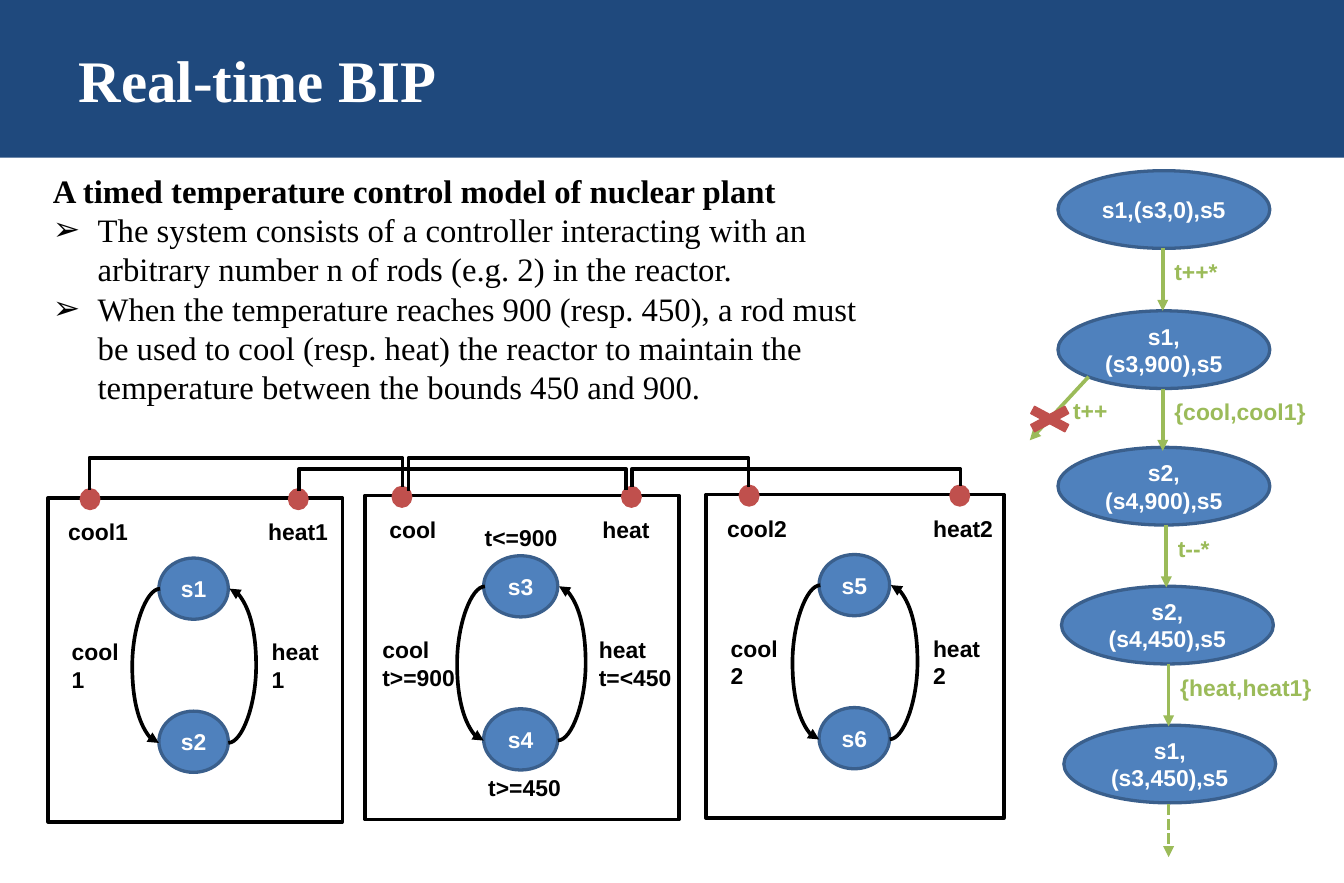
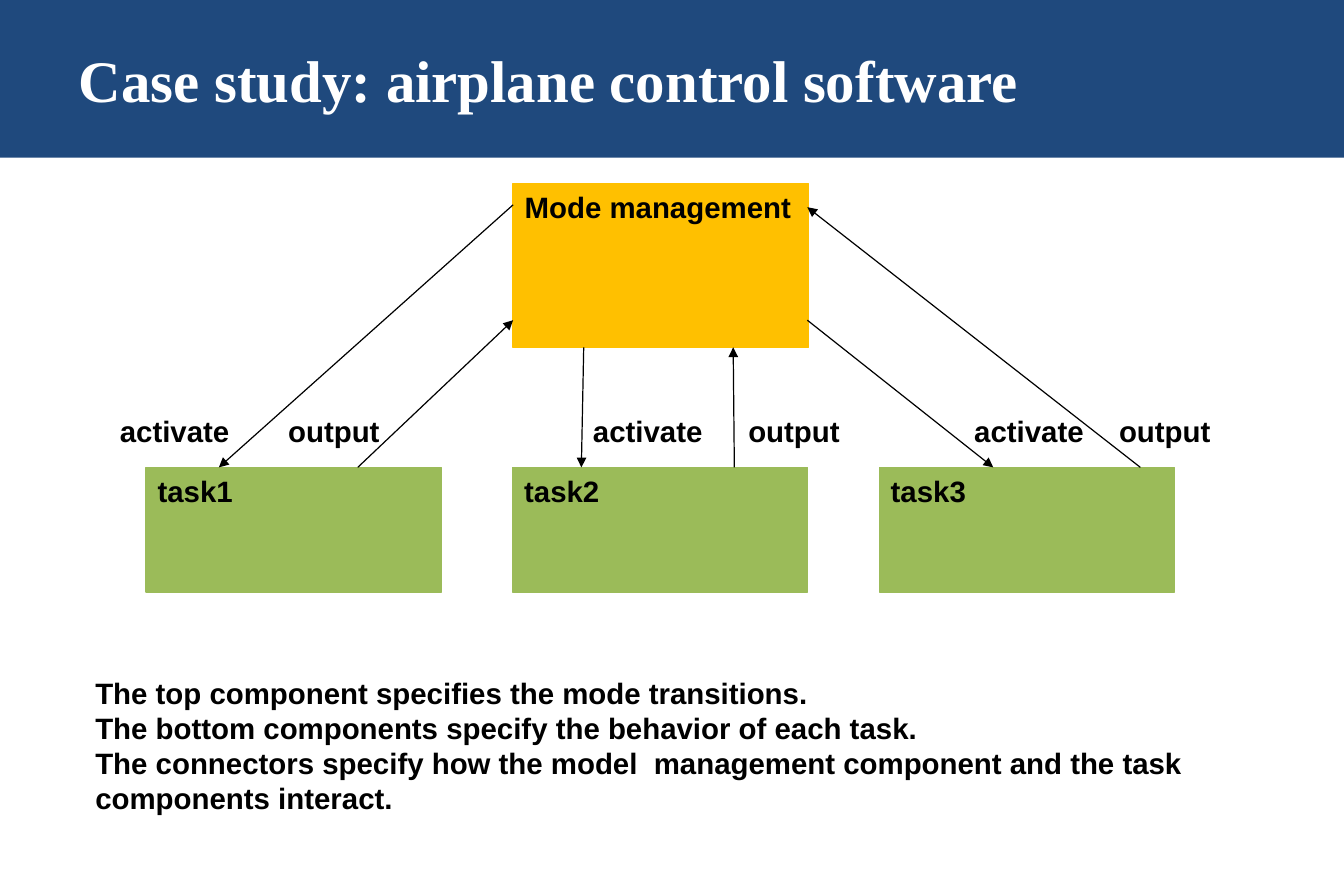
from lxml.etree import SubElement
from pptx import Presentation
from pptx.dml.color import RGBColor
from pptx.enum.dml import MSO_LINE
from pptx.enum.shapes import MSO_CONNECTOR as LINK, MSO_SHAPE as SHAPE
from pptx.enum.text import MSO_ANCHOR, MSO_AUTO_SIZE, PP_ALIGN
from pptx.oxml.ns import qn
from pptx.util import Pt

PX = 9144  # one px is a hundredth of an inch
NAVY, BLUE, EDGE = "1F497D", "4F81BD", "3A5F8C"
GREEN, RED, AMBER = "9BBB59", "C0504D", "FFC000"
BLACK, WHITE = "000000", "FFFFFF"
SERIF, SANS = "Times New Roman", "Arial"
rgb = RGBColor.from_string


def put(s, kind, x, y, w, h, text="", *, fill=None, line=None, weight=2, size=14,
        color=BLACK, font=SANS, bold=True, center=False, middle=False, wrap=True):
    """Place a preset shape, a text box (kind None) or a placeholder, with its text."""
    box = [round(v * PX) for v in (x, y, w, h)]
    if kind is None:
        sp = s.shapes.add_textbox(*box)
    elif hasattr(kind, "text_frame"):
        sp = kind
        sp.left, sp.top, sp.width, sp.height = box
    else:
        sp = s.shapes.add_shape(kind, *box)
        sp.shadow.inherit = False
        if fill:
            sp.fill.solid()
            sp.fill.fore_color.rgb = rgb(fill)
        else:
            sp.fill.background()
        if line:
            sp.line.color.rgb = rgb(line)
            sp.line.width = Pt(weight)
        else:
            sp.line.fill.background()
    if not text:
        return sp
    tf = sp.text_frame
    tf.text = text
    tf.word_wrap = wrap
    tf.auto_size = MSO_AUTO_SIZE.NONE
    tf.vertical_anchor = MSO_ANCHOR.MIDDLE if middle else MSO_ANCHOR.TOP
    for p in tf.paragraphs:
        p.alignment = PP_ALIGN.CENTER if center else PP_ALIGN.LEFT
        p.space_before = Pt(0)
        for r in p.runs:
            r.font.name, r.font.size, r.font.bold = font, Pt(size), bold
            r.font.color.rgb = rgb(color)
    return sp


def link(s, x1, y1, x2, y2, *, kind=LINK.STRAIGHT, color=BLACK, weight=2.25,
         arrow=True, dash=None, rot=0, flips=(), bend=None):
    """Draw a connector; bend is the elbow's distance in widths of its box."""
    c = s.shapes.add_connector(kind, *[round(v * PX) for v in (x1, y1, x2, y2)])
    c.line.color.rgb = rgb(color)
    c.line.width = Pt(weight)
    if dash:
        c.line.dash_style = dash
    spPr = c.element.spPr
    if arrow:
        SubElement(spPr.find(qn("a:ln")), qn("a:tailEnd"), type="triangle")
    SubElement(spPr, qn("a:effectLst"))
    xfrm = spPr.find(qn("a:xfrm"))
    if rot:
        xfrm.set("rot", str(rot * 60000))
    for flip in flips:
        xfrm.set("flip" + flip, "1")
    if bend is not None:
        av = spPr.find(qn("a:prstGeom")).find(qn("a:avLst"))
        SubElement(av, qn("a:gd"), name="adj1", fmla=f"val {round(bend * 100000)}")


prs = Presentation()
prs.slide_width, prs.slide_height = 1142 * PX, 750 * PX

# Shared band, title and body
TITLES = ["Real-time BIP", "Case study: airplane control software"]
BODIES = [
    ("A timed temperature control model of nuclear plant\n"
     "The system consists of a controller interacting with an arbitrary number n "
     "of rods (e.g. 2) in the reactor.\n"
     "When the temperature reaches 900 (resp. 450), a rod must be used to cool "
     "(resp. heat) the reactor to maintain the temperature between the bounds "
     "450 and 900.", (35, 140, 723, 212), SERIF, 20),
    ("The top component specifies the mode transitions.\n"
     "The bottom components specify the behavior of each task.\n"
     "The connectors specify how the model  management component and the task "
     "components interact.", (71, 568, 1013, 131), SANS, 18),
]
for title, (body, box, font, size) in zip(TITLES, BODIES):
    s = prs.slides.add_slide(prs.slide_layouts[1])
    put(s, s.shapes.title, 57, 5, 1028, 125, title, size=36, color=WHITE,
        font=SERIF, middle=True)
    sp = put(s, s.placeholders[1], *box, body, size=size, font=font)
    for i, p in enumerate(sp.text_frame.paragraphs):
        bullet = font == SERIF and i > 0
        pPr = p._p.get_or_add_pPr()
        pPr.set("marL", str(38 * PX if bullet else 0))
        pPr.set("indent", str(-38 * PX if bullet else 0))
        if bullet:
            SubElement(pPr, qn("a:buChar"), char="➢")
            p.runs[0].font.bold = False
        else:
            SubElement(pPr, qn("a:buNone"))

plant, study = prs.slides
band = put(plant, SHAPE.RECTANGLE, 0, 0, 1142, 134, fill=NAVY)
band.element.nvSpPr.cNvPr.set("id", "99")
prs.slide_master.shapes.element.insert(2, band.element)

# Slide 1: three components with two states, two transitions and two ports each
s = plant
STATE = dict(fill=BLUE, line=EDGE, color=WHITE, center=True, middle=True)
COMPONENTS = [
    # frame x, y, w; state x, w; states; port x; port names, x, w; transitions, x, w
    (41, 423, 250, 135, 59, ("s1", "s2"), (69, 246),
     ("cool1", "heat1"), (48, 218), 71, ("cool1", "heat1"), (51, 221), 65),
    (310, 421, 267, 411, 63, ("s3", "s4"), (334, 529),
     ("cool", "heat"), (321, 502), 60, ("cool\nt>=900", "heat\nt=<450"), (315, 499), 82),
    (600, 420, 253, 696, 60, ("s5", "s6"), (629, 808),
     ("cool2", "heat2"), (608, 783), 71, ("cool2", "heat2"), (611, 783), 66),
]
for (x, y, w, sx, sw, states, port_xs, ports, name_xs, name_w,
     moves, move_xs, move_w) in COMPONENTS:
    put(s, SHAPE.RECTANGLE, x, y, w, 275, line=BLACK, weight=2.25)
    for state, dy in zip(states, (51, 181)):
        put(s, SHAPE.OVAL, sx, y + dy, sw, 52, state, **STATE)
    for cx, rot in ((sx, 180), (sx + sw, 0)):
        link(s, cx, y + 77, cx + 1, y + 208, kind=LINK.CURVE, rot=rot,
             flips="V", bend=24)
    for port_x, name, name_x, move, move_x in zip(port_xs, ports, name_xs, moves, move_xs):
        put(s, SHAPE.OVAL, port_x, y - 7, 15, 16, fill=RED, line=RED)
        put(s, None, name_x, y + 12, name_w, 34, name, wrap=False)
        put(s, None, move_x, y + 114, move_w, 57, move, wrap="\n" not in move)
for x, y, guard in ((402, 440, "t<=900"), (405, 652, "t>=450")):
    put(s, None, x, y, 82, 34, guard, wrap=False)

# Wires leave a port upwards, so each box is turned by a quarter
for x1, y1, x2, y2, peak in ((76, 416, 342, 414, 389), (347, 417, 636, 414, 389),
                             (254, 417, 532, 416, 398), (537, 414, 816, 413, 398)):
    w, h = y1 - y2, x2 - x1
    left, top = (x1 + x2 - w) / 2, (y1 + y2 - h) / 2
    link(s, left, top, left + w, top + h, kind=LINK.ELBOW, arrow=False,
         rot=90, flips="HV", bend=(y1 - peak) / w)

# Slide 1: the run on the right
RUN = [(899, 145, "s1,(s3,0),s5", "t++*", 57),
       (899, 264, "s1,(s3,900),s5", "{cool,cool1}", 132),
       (899, 380, "s2,(s4,900),s5", "t--*", 47),
       (902, 498, "s2,(s4,450),s5", "{heat,heat1}", 132),
       (904, 616, "s1,(s3,450),s5", None, 0)]
for x, y, state, *_ in RUN:
    put(s, SHAPE.OVAL, x, y, 180, 66, state, **STATE)
for (_, y, _, step, w), (next_x, *_) in zip(RUN, RUN[1:]):
    link(s, next_x + 89, y + 66, next_x + 89, y + 119, color=GREEN)
    put(s, None, next_x + 89, y + 69, w, 34, step, color=GREEN, wrap=False)
link(s, 993, 683, 993, 728, color=GREEN, dash=MSO_LINE.SQUARE_DOT)
link(s, 925, 320, 875, 374, color=GREEN)
put(s, None, 902, 332, 49, 34, "t++", color=GREEN, wrap=False)
put(s, SHAPE.MATH_MULTIPLY, 864, 341, 56, 30, fill=RED, line=RED, weight=0.75)

# Slide 2: mode management above three tasks
s = study
put(s, SHAPE.RECTANGLE, 436, 156, 251, 139, "Mode management", fill=AMBER,
    line=AMBER, weight=0.75, size=18)
TASKS = [  # activate arrow, output arrow, label x of each
    ((436, 174, 186, 397), (304, 397, 436, 272), 92, 235),
    ((496, 295, 494, 397), (624, 397, 623, 295), 494, 626),
    ((686, 272, 844, 397), (969, 397, 686, 176), 818, 941),
]
for i, (activate, output, activate_x, output_x) in enumerate(TASKS):
    put(s, SHAPE.RECTANGLE, 124 + 311.5 * i, 397, 251, 106, f"task{i + 1}",
        fill=GREEN, line=GREEN, weight=0.75, size=18)
    for ends in (activate, output):
        link(s, *ends, weight=0.75)
    put(s, None, activate_x, 346, 114, 40, "activate", size=18, wrap=False)
    put(s, None, output_x, 346, 99, 40, "output", size=18, wrap=False)

prs.save("out.pptx")
